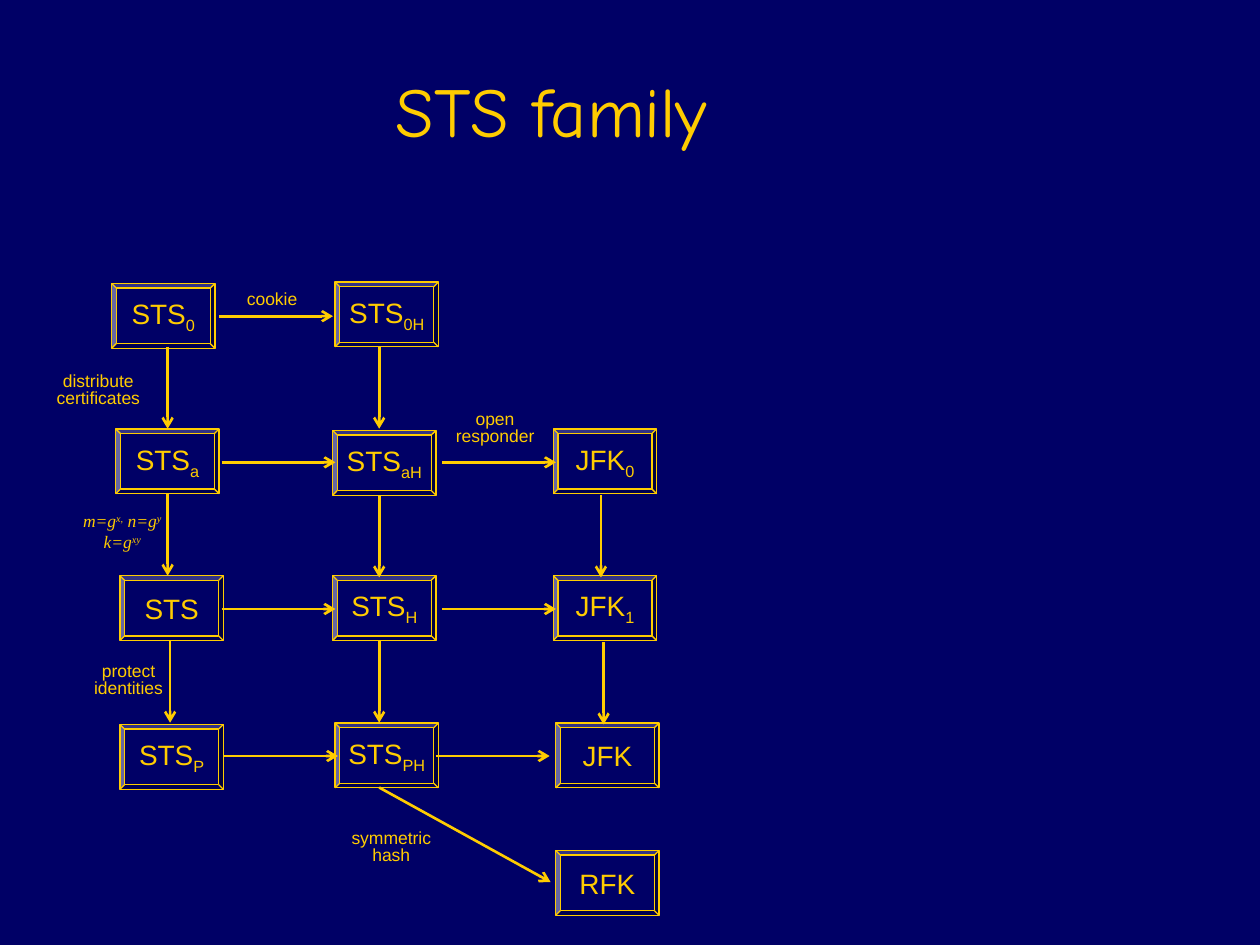
from lxml.etree import SubElement
from pptx import Presentation
from pptx.dml.color import RGBColor
from pptx.enum.shapes import MSO_CONNECTOR, MSO_SHAPE
from pptx.enum.text import MSO_ANCHOR, PP_ALIGN
from pptx.oxml.ns import qn
from pptx.util import Pt

NAVY = RGBColor(0x00, 0x00, 0x66)
GOLD = RGBColor(0xFF, 0xCC, 0x00)
BOX_W, BOX_H = 59, 37
ACROSS, DOWN = 65, 47


def write(sp, text, size, font="Arial", italic=False, align=PP_ALIGN.CENTER,
          anchor=MSO_ANCHOR.TOP, spacing=None, script=0):
    """Fill a shape with text; every second part between bars is raised or lowered by script."""
    tf = sp.text_frame
    tf.word_wrap = False
    tf.vertical_anchor = anchor
    for i, line in enumerate(text.split("\n")):
        p = tf.paragraphs[0] if i == 0 else tf.add_paragraph()
        p.alignment = align
        p.line_spacing = spacing
        for j, part in enumerate(line.split("|")):
            if not part:
                continue
            r = p.add_run()
            r.text = part
            r.font.size = Pt(size)
            r.font.name = font
            r.font.italic = italic
            r.font.color.rgb = GOLD
            if j % 2:
                r.font._element.set("baseline", str(script * 1000))


def add_arrow(x1, y1, x2, y2):
    line = slide.shapes.add_connector(MSO_CONNECTOR.STRAIGHT, Pt(x1), Pt(y1), Pt(x2), Pt(y2))
    line.line.color.rgb = GOLD
    line.line.width = Pt(1.5)
    SubElement(line.line._get_or_add_ln(), qn("a:tailEnd"), type="arrow")
    SubElement(line._element.spPr, qn("a:effectLst"))


prs = Presentation()
prs.slide_width, prs.slide_height = Pt(720), Pt(540)
slide = prs.slides.add_slide(prs.slide_layouts[6])
slide.background.fill.solid()
slide.background.fill.fore_color.rgb = NAVY

title = slide.shapes.add_textbox(Pt(219), Pt(18), Pt(240), Pt(72))
write(title, "STS family", 40, font="Comic Neue", align=PP_ALIGN.LEFT, anchor=MSO_ANCHOR.BOTTOM)

# Step labels: left, top, width, height, text
plain = {"spacing": 0.8}
formula = {"font": "Times New Roman", "italic": True, "script": 30}
labels = [
    (40.3, 288, 59, 31.7, "m=g|x,| n=g|y\nk=g|xy", formula),
    (25.2, 210.2, 61.9, 26.6, "distribute\ncertificates", plain),
    (133.9, 163.4, 43.2, 17.3, "cookie", plain),
    (253.4, 231.8, 59, 26.6, "open\nresponder", plain),
    (193.7, 471.6, 59.8, 26.6, "symmetric\nhash", plain),
    (46.8, 375.8, 53.3, 26.6, "protect\nidentities", plain),
]
for x, y, w, h, text, style in labels:
    sp = slide.shapes.add_shape(MSO_SHAPE.RECTANGLE, Pt(x), Pt(y), Pt(w), Pt(h))
    sp.shadow.inherit = False
    sp.fill.solid()
    sp.fill.fore_color.rgb = NAVY
    sp.line.fill.background()
    write(sp, text, 10, **style)

# Protocol boxes: left, top, name
boxes = [
    (63.8, 162, "STS|0"), (191.5, 161.2, "STS|0H"),
    (66.2, 245.1, "STS|a"), (190.1, 246, "STS|aH"), (316.2, 245.1, "JFK|0"),
    (68.6, 329, "STS"), (190.1, 329, "STS|H"), (316.2, 329, "JFK|1"),
    (68.6, 414, "STS|P"), (191.5, 413.2, "STS|PH"), (317.6, 413.2, "JFK"),
    (317.6, 486, "RFK"),
]
for x, y, name in boxes:
    sp = slide.shapes.add_shape(MSO_SHAPE.BEVEL, Pt(x), Pt(y), Pt(BOX_W), Pt(BOX_H))
    sp.adjustments[0] = 0.07
    sp.shadow.inherit = False
    sp.fill.solid()
    sp.fill.fore_color.rgb = NAVY
    sp.line.color.rgb = GOLD
    sp.line.width = Pt(0.75)
    write(sp, name, 16, anchor=MSO_ANCHOR.MIDDLE, script=-25)

for x, y in [(125.3, 180.7), (126.7, 264.2), (252.7, 264.2), (126.7, 348),
             (252.7, 348), (128.2, 432), (249.1, 432)]:
    add_arrow(x, y, x + ACROSS, y)
for x, y in [(95.8, 198), (95.8, 282), (97.2, 366), (216.7, 198), (216.7, 283),
             (216.7, 366), (343.4, 283), (344.9, 367)]:
    add_arrow(x, y, x, y + DOWN)
add_arrow(216.7, 450, 314.6, 504)

prs.save("out.pptx")
